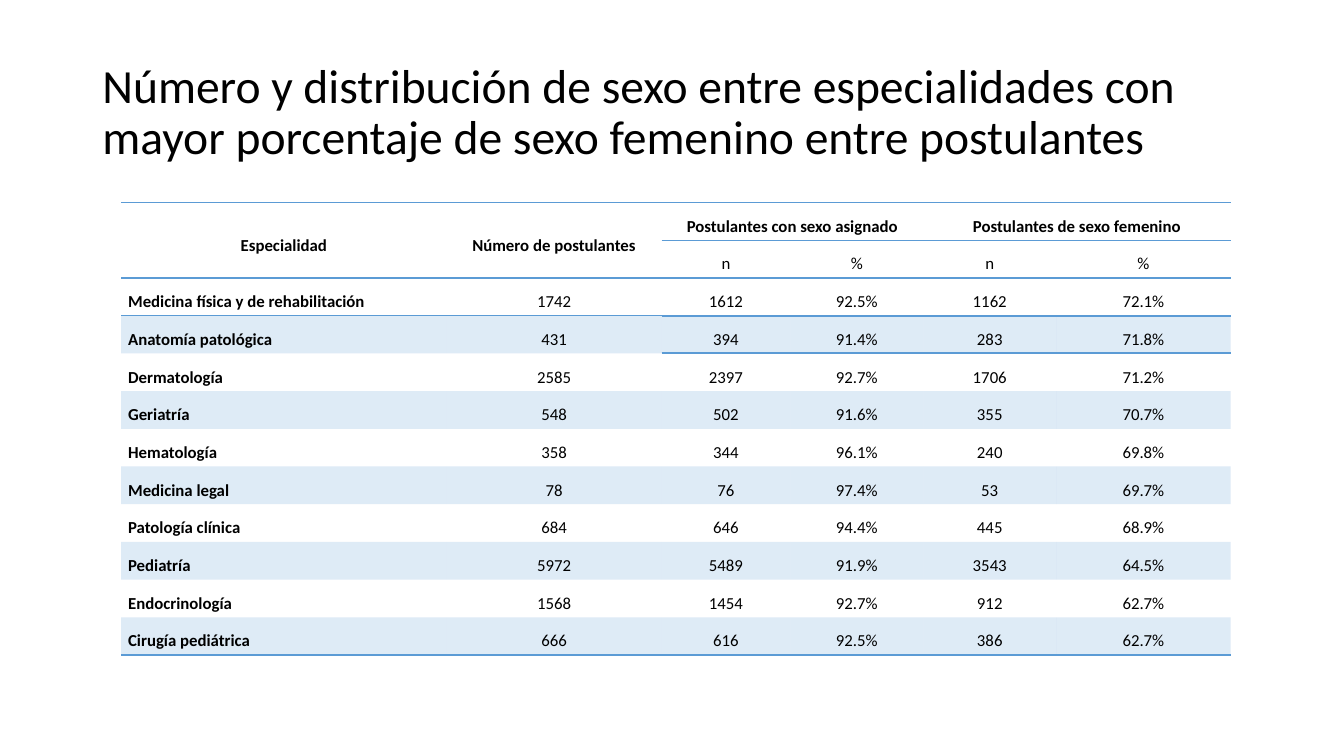
from lxml import etree
from pptx import Presentation
from pptx import util as u
from pptx.dml.color import RGBColor
from pptx.enum import text
from pptx.oxml import ns

BLACK = RGBColor(0x00, 0x00, 0x00)
WHITE = RGBColor(0xFF, 0xFF, 0xFF)
BLUE = RGBColor(0x5B, 0x9B, 0xD5)
FONT = "Calibri"
PLAIN_STYLE = "{2D5ABB26-0587-4C30-8999-92F81FD0307C}"
TINT = 20000  # 20 % opacity

TITLE = ("Número y distribución de sexo entre especialidades con mayor "
         "porcentaje de sexo femenino entre postulantes")
ROWS = [
    ("Especialidad", "Número de postulantes", "Postulantes con sexo asignado", "",
     "Postulantes de sexo femenino", ""),
    ("", "", "n", "%", "n", "%"),
    ("Medicina física y de rehabilitación", "1742", "1612", "92.5%", "1162", "72.1%"),
    ("Anatomía patológica", "431", "394", "91.4%", "283", "71.8%"),
    ("Dermatología", "2585", "2397", "92.7%", "1706", "71.2%"),
    ("Geriatría", "548", "502", "91.6%", "355", "70.7%"),
    ("Hematología", "358", "344", "96.1%", "240", "69.8%"),
    ("Medicina legal", "78", "76", "97.4%", "53", "69.7%"),
    ("Patología clínica", "684", "646", "94.4%", "445", "68.9%"),
    ("Pediatría", "5972", "5489", "91.9%", "3543", "64.5%"),
    ("Endocrinología", "1568", "1454", "92.7%", "912", "62.7%"),
    ("Cirugía pediátrica", "666", "616", "92.5%", "386", "62.7%"),
]
COLUMN_WIDTHS = [232.5, 153.5, 92, 95, 95, 124.5]
ROW_HEIGHT = 26.94
MERGES = [((0, 0), (1, 0)), ((0, 1), (1, 1)), ((0, 2), (0, 3)), ((0, 4), (0, 5))]
# Horizontal rules: row edge -> (first column, width)
RULES = {0: (0, 1), 1: (2, 1), 2: (0, 1), 3: (2, 1.5), len(ROWS): (0, 1)}


def write(frame, content, size, bold=False, align=text.PP_ALIGN.LEFT, spacing=1.0):
    """Put one formatted paragraph into a text frame."""
    paragraph = frame.paragraphs[0]
    paragraph.alignment = align
    paragraph.line_spacing = spacing
    run = paragraph.add_run()
    run.text = content
    run.font.name = FONT
    run.font.size = u.Pt(size)
    run.font.bold = bold
    run.font.color.rgb = BLACK


class SlideBuilder:
    def __init__(self, presentation):
        self.slide = presentation.slides.add_slide(presentation.slide_layouts[5])

    def title(self, content, left, top, width, height):
        shape = self.slide.shapes.title
        shape.left, shape.top = u.Pt(left), u.Pt(top)
        shape.width, shape.height = u.Pt(width), u.Pt(height)
        frame = shape.text_frame
        frame.word_wrap = True
        frame.auto_size = text.MSO_AUTO_SIZE.NONE
        frame.vertical_anchor = text.MSO_ANCHOR.MIDDLE
        write(frame, content, 34, spacing=0.9)

    def border(self, cell, tag, width):
        line = etree.SubElement(cell._tc.get_or_add_tcPr(), ns.qn(tag), w=str(u.Pt(width)))
        fill = etree.SubElement(line, ns.qn("a:solidFill"))
        etree.SubElement(fill, ns.qn("a:srgbClr"), val=str(BLUE))

    def tint(self, cell, color):
        cell.fill.solid()
        cell.fill.fore_color.rgb = color
        for element in cell._tc.tcPr.findall(ns.qn("a:solidFill") + "/" + ns.qn("a:srgbClr")):
            etree.SubElement(element, ns.qn("a:alpha"), val=str(TINT))

    def cell(self, cell, content, row, column):
        cell.margin_left = cell.margin_right = u.Pt(5)
        cell.margin_top = cell.margin_bottom = 0
        cell.vertical_anchor = text.MSO_ANCHOR.MIDDLE

        # Rules above and below
        span = cell.span_height if cell.is_merge_origin else 1
        for tag, edge in (("a:lnT", row), ("a:lnB", row + span)):
            first_column, width = RULES.get(edge, (len(COLUMN_WIDTHS), 0))
            if column >= first_column:
                self.border(cell, tag, width)

        # Bands
        if row > 2 and row % 2:
            self.tint(cell, BLUE)
        elif row == 1 and column > 1:
            self.tint(cell, WHITE)
        else:
            cell.fill.background()

        if content:
            left_aligned = row > 1 and column == 0
            align = text.PP_ALIGN.LEFT if left_aligned else text.PP_ALIGN.CENTER
            write(cell.text_frame, content, 12, bold=row == 0 or column == 0,
                  align=align, spacing=1.5)

    def table(self, rows, left, top):
        frame = self.slide.shapes.add_table(
            len(rows), len(COLUMN_WIDTHS), u.Pt(left), u.Pt(top),
            u.Pt(sum(COLUMN_WIDTHS)), u.Pt(ROW_HEIGHT * len(rows)))
        table = frame.table
        table.first_row = table.horz_banding = False
        table._tbl.tblPr.find(ns.qn("a:tableStyleId")).text = PLAIN_STYLE
        for column, width in zip(table.columns, COLUMN_WIDTHS):
            column.width = u.Pt(width)
        for table_row in table.rows:
            table_row.height = u.Pt(ROW_HEIGHT)
        for start, end in MERGES:
            table.cell(*start).merge(table.cell(*end))
        for row, values in enumerate(rows):
            for column, content in enumerate(values):
                self.cell(table.cell(row, column), content, row, column)


def main():
    presentation = Presentation()
    presentation.slide_width, presentation.slide_height = u.Pt(960), u.Pt(540)
    builder = SlideBuilder(presentation)
    builder.title(TITLE, 66, 28.75, 828, 104.4)
    builder.table(ROWS, 86.5, 144.7)
    presentation.save("out.pptx")


if __name__ == "__main__":
    main()
